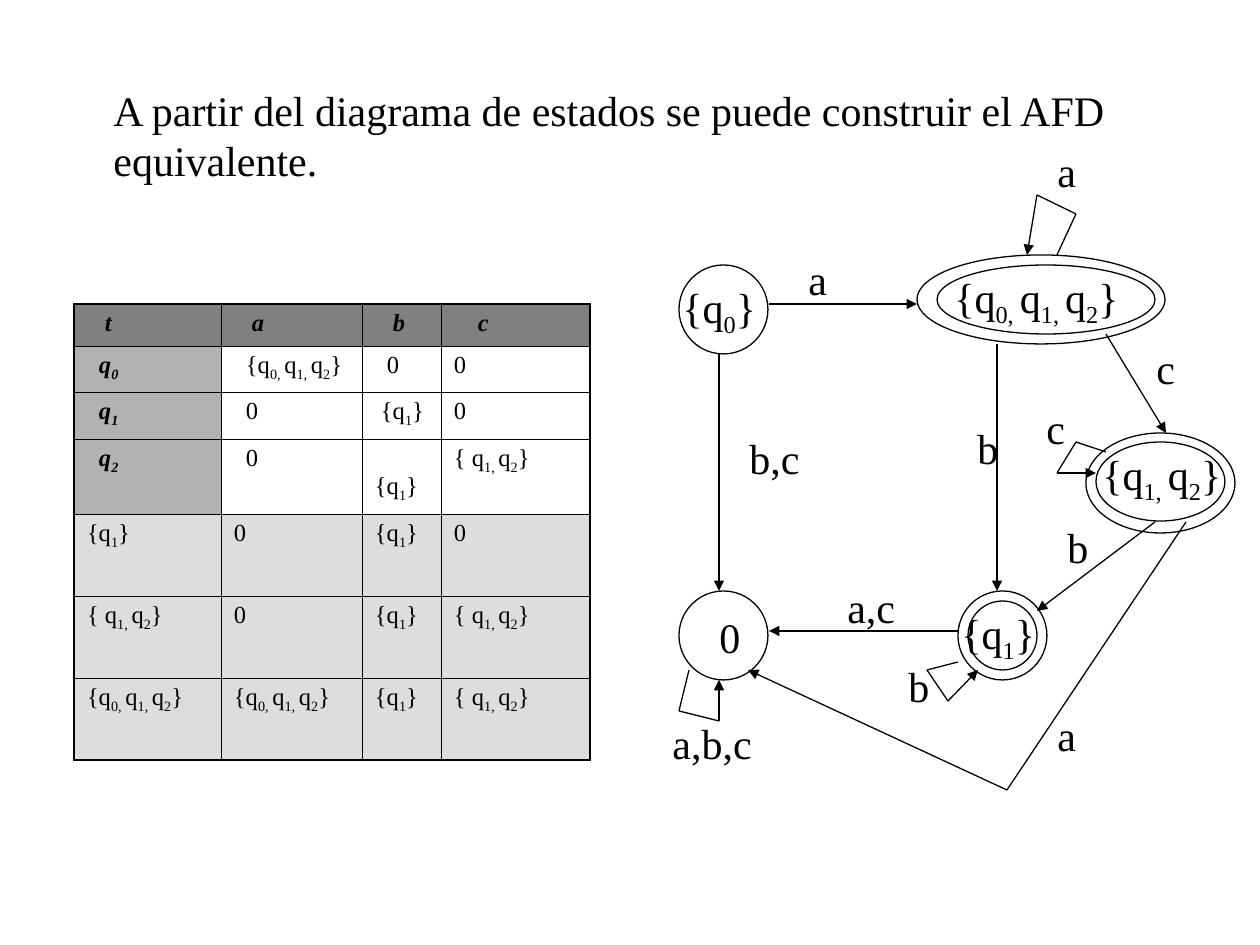
from lxml.etree import SubElement
from pptx import Presentation
from pptx.dml.color import RGBColor
from pptx.enum.shapes import MSO_CONNECTOR as CONN, MSO_SHAPE as SHAPE
from pptx.oxml.ns import qn
from pptx.util import Emu, Pt

BLACK = RGBColor(0, 0, 0)
HEADER = RGBColor(0x80, 0x80, 0x80)
STATE = RGBColor(0xB2, 0xB2, 0xB2)
SUBSET = RGBColor(0xDD, 0xDD, 0xDD)
FONT = "Times New Roman"
TITLE = "A partir del diagrama de estados se puede construir el AFD equivalente."

SUB_MARK = "|"
Q1 = "{q|1|}"
Q12 = "{ q|1, |q|2|}"
Q012 = "{q|0, |q|1, |q|2|}"

COLS = [147, 141, 79, 149]
ROWS = [42, 46, 47, 75, 82, 82, 82]
CELLS = [
    ["t", "a", "b", "c"],
    ["q|0", Q012, "0", "0"],
    ["q|1", "0", Q1, "0"],
    ["q|2", "0", Q1, Q12],
    [Q1, "0", Q1, "0"],
    [Q12, "0", Q1, Q12],
    [Q012, Q012, Q1, Q12],
]
INDENTS = [[18, 18, 18, 24], [12, 12, 12, 0], [12, 12, 6, 0], [12, 12, 0, 0]]

ELLIPSES = [
    (19, 127, 89, 89), (19, 453, 89, 89),
    (298, 453, 89, 89), (308, 463, 69, 69),
    (426, 295, 149, 100), (436, 304, 129, 79),
    (257, 117, 248, 89), (277, 127, 218, 69),
]
STATE_NAMES = [
    ("{q|0|}", 10, 137, 104, 71),
    (Q012, 282, 127, 189, 71),
    ("{q|1, |q|2|}", 430, 304, 144, 71),
    (Q1, 289, 463, 104, 71),
    ("0", 47, 467, 45, 63),
]
EDGE_LABELS = [
    ("a", 136, 109, 44), ("a", 385, 1, 44), ("b", 305, 278, 45),
    ("b,c", 77, 288, 76), ("a,c", 175, 437, 73), ("a,b,c", 0, 573, 105),
    ("a", 385, 565, 44), ("b", 236, 516, 45), ("c", 374, 258, 44),
    ("b", 395, 377, 45), ("c", 484, 198, 44),
]
EDGES = [
    [(109, 166), (257, 166)],
    [(337, 206), (337, 453)],
    [(59, 216), (59, 453)],
    [(298, 493), (109, 493)],
    [(446, 196), (506, 295)],
    [(495, 384), (377, 473)],
    [(526, 384), (347, 652), (88, 532)],
    [(298, 524), (267, 532), (288, 563), (318, 532)],
    [(397, 117), (416, 76), (377, 57), (367, 117)],
    [(446, 314), (416, 304), (397, 335), (436, 335)],
    [(29, 532), (19, 573), (59, 583), (59, 542)],
]


def px(n):
    return Emu(round(n * 914400 / 126))


def write(tf, text, size, strong=False):
    p = tf.paragraphs[0]
    p.font.name, p.font.size = FONT, Pt(size)
    p.font.color.rgb = BLACK
    p.font.bold = p.font.italic = strong
    for i, part in enumerate(text.split(SUB_MARK)):
        r = p.add_run()
        r.text = part
        if i % 2:
            r.font._element.set("baseline", "-25000")


def add_text(slide, text, x, y, w, h, wrap=False):
    tf = slide.shapes.add_textbox(px(x), px(y), px(w), px(h)).text_frame
    tf.word_wrap = wrap
    write(tf, text, 24)


def add_segment(slide, start, end, arrow):
    sp = slide.shapes.add_connector(CONN.STRAIGHT, *map(px, start + end))
    sp.line.color.rgb, sp.line.width = BLACK, Pt(0.75)
    if arrow:
        SubElement(sp.line._get_or_add_ln(), qn("a:tailEnd"), type="triangle")
    SubElement(sp._element.spPr, qn("a:effectLst"))


def set_border(cell, side, width):
    ln = SubElement(cell._tc.get_or_add_tcPr(), qn("a:ln" + side), w=str(Pt(width)))
    SubElement(SubElement(ln, qn("a:solidFill")), qn("a:srgbClr"), val=str(BLACK))


def fill_color(row, col):
    if row == 0:
        return HEADER
    if row > 3:
        return SUBSET
    return STATE if col == 0 else None


def add_transitions(slide, x, y):
    frame = slide.shapes.add_table(len(ROWS), len(COLS), px(x), px(y),
                                   px(sum(COLS)), px(sum(ROWS)))
    table = frame.table
    table.first_row = table.horz_banding = False
    for col, w in zip(table.columns, COLS):
        col.width = px(w)
    for row, h in zip(table.rows, ROWS):
        row.height = px(h)
    last_row, last_col = len(ROWS) - 1, len(COLS) - 1
    for i, texts in enumerate(CELLS):
        for j, text in enumerate(texts):
            cell = table.cell(i, j)
            indent = INDENTS[i][j] if i < len(INDENTS) else 0
            cell.margin_left, cell.margin_right = px(13 + indent), px(12)
            cell.margin_top = px(34 if (i, j) == (3, 2) else 6)
            cell.margin_bottom = px(6)
            outer = {"L": j == 0, "R": j == last_col, "T": i == 0, "B": i == last_row}
            for side, edge in outer.items():
                set_border(cell, side, 1.08 if edge else 0.45)
            color = fill_color(i, j)
            if color is None:
                cell.fill.background()
            else:
                cell.fill.solid()
                cell.fill.fore_color.rgb = color
            write(cell.text_frame, text, 14, strong=i == 0 or (j == 0 and i < 4))


def add_automaton(slide, x, y):
    for left, top, w, h in ELLIPSES:
        sp = slide.shapes.add_shape(SHAPE.OVAL, px(x + left), px(y + top), px(w), px(h))
        sp.shadow.inherit = False
        sp.fill.background()
        sp.line.color.rgb, sp.line.width = BLACK, Pt(0.75)
    for text, left, top, w, h in STATE_NAMES:
        add_text(slide, text, x + left, y + top, w, h)
    for edge in EDGES:
        points = [(x + left, y + top) for left, top in edge]
        for start, end in zip(points, points[1:]):
            add_segment(slide, start, end, arrow=end is points[-1])
    for text, left, top, w in EDGE_LABELS:
        add_text(slide, text, x + left, y + top, w, 63)


def main():
    prs = Presentation()
    prs.slide_width, prs.slide_height = px(1260), px(945)
    slide = prs.slides.add_slide(prs.slide_layouts[6])
    add_transitions(slide, 74, 304)
    add_automaton(slide, 660, 138)
    add_text(slide, TITLE, 101, 78, 1024, 113, wrap=True)
    prs.save("out.pptx")


if __name__ == "__main__":
    main()
